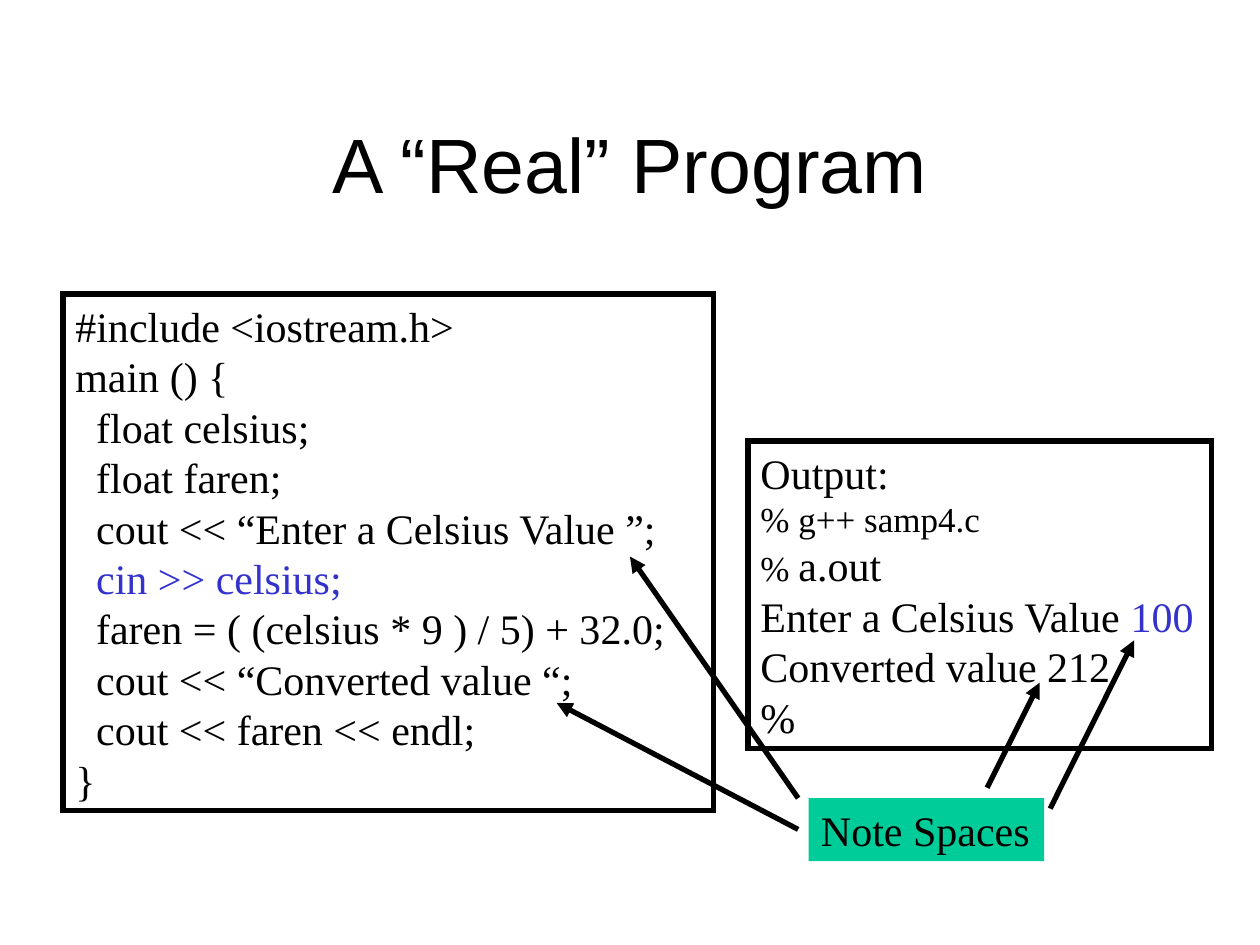
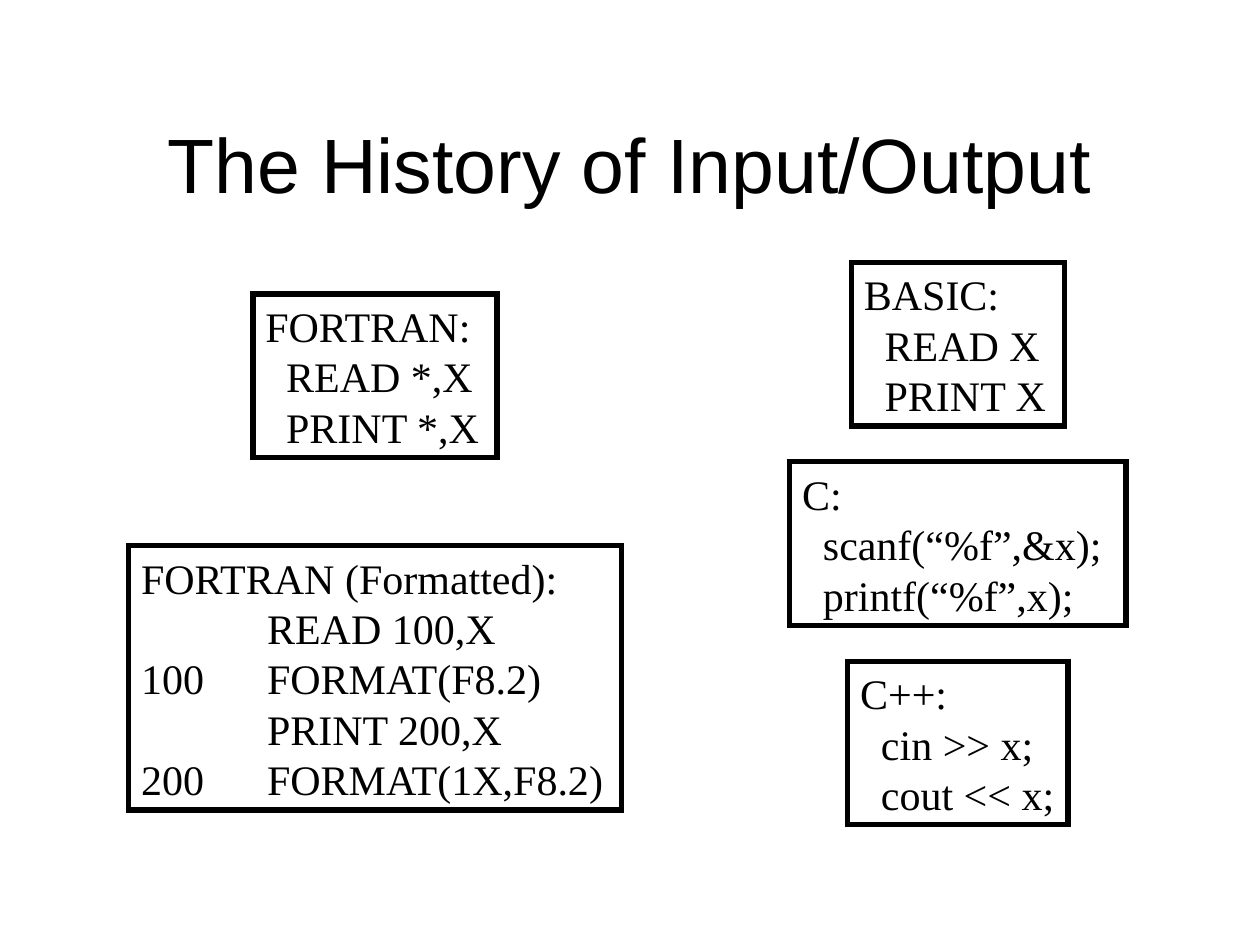
import pptx
import pptx.util
import pptx.dml.color
import pptx.enum.shapes
import pptx.enum.text
import pptx.oxml.ns
from lxml import etree
from pptx.util import Cm

COLORS = {"ink": "000000", "input": "3333CC", "note": "00CC99"}
INPUT = {"color": "input"}
SMALL = {"size": 20}


def rgb(name):
    return pptx.dml.color.RGBColor.from_string(COLORS[name])


def add_xml(parent, tag, **attributes):
    return etree.SubElement(parent, pptx.oxml.ns.qn(tag), **attributes)


class Deck:
    """Holds the shared style and the current slide."""
    title_font = {"name": "Arial", "size": 44, "color": "ink"}
    code_font = {"name": "Times New Roman", "size": 24, "color": "ink"}
    margins = {"margin_left": Cm(0.25), "margin_right": Cm(0.25),
               "margin_top": Cm(0.13), "margin_bottom": Cm(0.13)}
    line_width = pptx.util.Pt(3)
    code_indent = Cm(0.42)
    code_tab = Cm(2.54)

    def __init__(self):
        self.prs = pptx.Presentation()
        self.prs.slide_width, self.prs.slide_height = Cm(25.4), Cm(19.05)
        self.s = None

    def add_slide(self, title):
        self.s = self.prs.slides.add_slide(self.prs.slide_layouts[5])
        sp = self.s.shapes.title
        sp.left, sp.top, sp.width, sp.height = Cm(1.9), Cm(1.69), Cm(21.6), Cm(3.18)
        anchor = pptx.enum.text.MSO_ANCHOR.MIDDLE
        self.format_frame(sp.text_frame, vertical_anchor=anchor, word_wrap=True)
        p = sp.text_frame.paragraphs[0]
        p.alignment = pptx.enum.text.PP_ALIGN.CENTER
        self.add_run(p, title, self.title_font)

    def format_frame(self, tf, **extra):
        for key, value in {**self.margins, **extra}.items():
            setattr(tf, key, value)

    def add_run(self, p, text, font):
        r = p.add_run()
        r.text = text
        r.font.color.rgb = rgb(font["color"])
        for key, value in {"name": font["name"], "size": pptx.util.Pt(font["size"])}.items():
            setattr(r.font, key, value)

    def draw_line(self, line):
        """Give a line its colour, width and square corners."""
        line.color.rgb = rgb("ink")
        line.width = self.line_width
        add_xml(line._get_or_add_ln(), "a:miter", lim="800000")

    def box(self, left, top, width, height, lines, fill=None, wrap=False):
        """Add a box of code lines; a line is a string or a list of (text, font changes)."""
        sp = self.s.shapes.add_shape(pptx.enum.shapes.MSO_SHAPE.RECTANGLE,
                                     Cm(left), Cm(top), Cm(width), Cm(height))
        sp.shadow.inherit = False
        if fill:
            sp.fill.solid()
            sp.fill.fore_color.rgb = rgb(fill)
            sp.line.fill.background()
        else:
            sp.fill.background()
            self.draw_line(sp.line)
        tf = sp.text_frame
        self.format_frame(tf, word_wrap=wrap, vertical_anchor=pptx.enum.text.MSO_ANCHOR.TOP,
                          auto_size=pptx.enum.text.MSO_AUTO_SIZE.SHAPE_TO_FIT_TEXT)
        for i, line in enumerate(lines):
            p = tf.add_paragraph() if i else tf.paragraphs[0]
            p.alignment = pptx.enum.text.PP_ALIGN.LEFT
            runs = [(line, {})] if isinstance(line, str) else line
            pPr = p._p.get_or_add_pPr()
            if runs[0][0].startswith("  "):
                pPr.set("marL", str(self.code_indent))
                runs = [(text.lstrip(" "), change) for text, change in runs]
            if "\t" in runs[0][0]:
                add_xml(add_xml(pPr, "a:tabLst"), "a:tab", pos=str(self.code_tab), algn="l")
            for text, change in runs:
                self.add_run(p, text, {**self.code_font, **change})

    def arrow(self, x1, y1, x2, y2):
        c = self.s.shapes.add_connector(pptx.enum.shapes.MSO_CONNECTOR.STRAIGHT,
                                        Cm(x1), Cm(y1), Cm(x2), Cm(y2))
        self.draw_line(c.line)
        add_xml(c.line._get_or_add_ln(), "a:tailEnd", type="triangle")
        add_xml(c._element.spPr, "a:effectLst")


def real_program(deck):
    deck.add_slide("A “Real” Program")
    deck.box(1.27, 5.93, 13.12, 10.41, [
        "#include <iostream.h>",
        "main () {",
        "  float celsius;",
        "  float faren;",
        "  cout << “Enter a Celsius Value ”;",
        [("  cin >> celsius;", INPUT)],
        "  faren = ( (celsius * 9 ) / 5) + 32.0;",
        "  cout << “Converted value “;",
        "  cout << faren << endl;",
        "}"], wrap=True)
    deck.box(15.08, 8.89, 9.35, 6.2, [
        "Output:",
        [("% g++ samp4.c", SMALL)],
        [("% ", SMALL), ("a.out", {})],
        [("Enter a Celsius Value ", {}), ("100", INPUT)],
        "Converted value 212",
        "%"])
    deck.box(16.3, 16.09, 4.75, 1.27, ["Note Spaces"], fill="note")
    for ends in [(16.09, 16.72, 11.22, 14.17), (16.09, 16.09, 12.7, 11.22),
                 (19.9, 15.88, 20.96, 13.76), (21.17, 16.3, 22.86, 12.91)]:
        deck.arrow(*ends)


def history(deck):
    deck.add_slide("The History of Input/Output")
    fortran_center, other_center = 7.56, 19.31
    for top, width, height, lines in [
            (5.93, 4.92, 3.3, ["FORTRAN:", "  READ *,X", "  PRINT *,X"]),
            (11, 9.93, 5.33, ["FORTRAN (Formatted):", "\tREAD 100,X", "100\tFORMAT(F8.2)",
                              "\tPRINT 200,X", "200\tFORMAT(1X,F8.2)"])]:
        deck.box(fortran_center - width / 2, top, width, height, lines)
    for i, (width, lines) in enumerate([
            (4.29, ["BASIC:", "  READ X", "  PRINT X"]),
            (6.78, ["C:", "  scanf(“%f”,&x);", "  printf(“%f”,x);"]),
            (4.44, ["C++:", "  cin >> x;", "  cout << x;"])]):
        deck.box(other_center - width / 2, 5.29 + 4.02 * i, width, 3.3, lines)


def main():
    deck = Deck()
    real_program(deck)
    history(deck)
    deck.prs.save("out.pptx")


if __name__ == "__main__":
    main()
